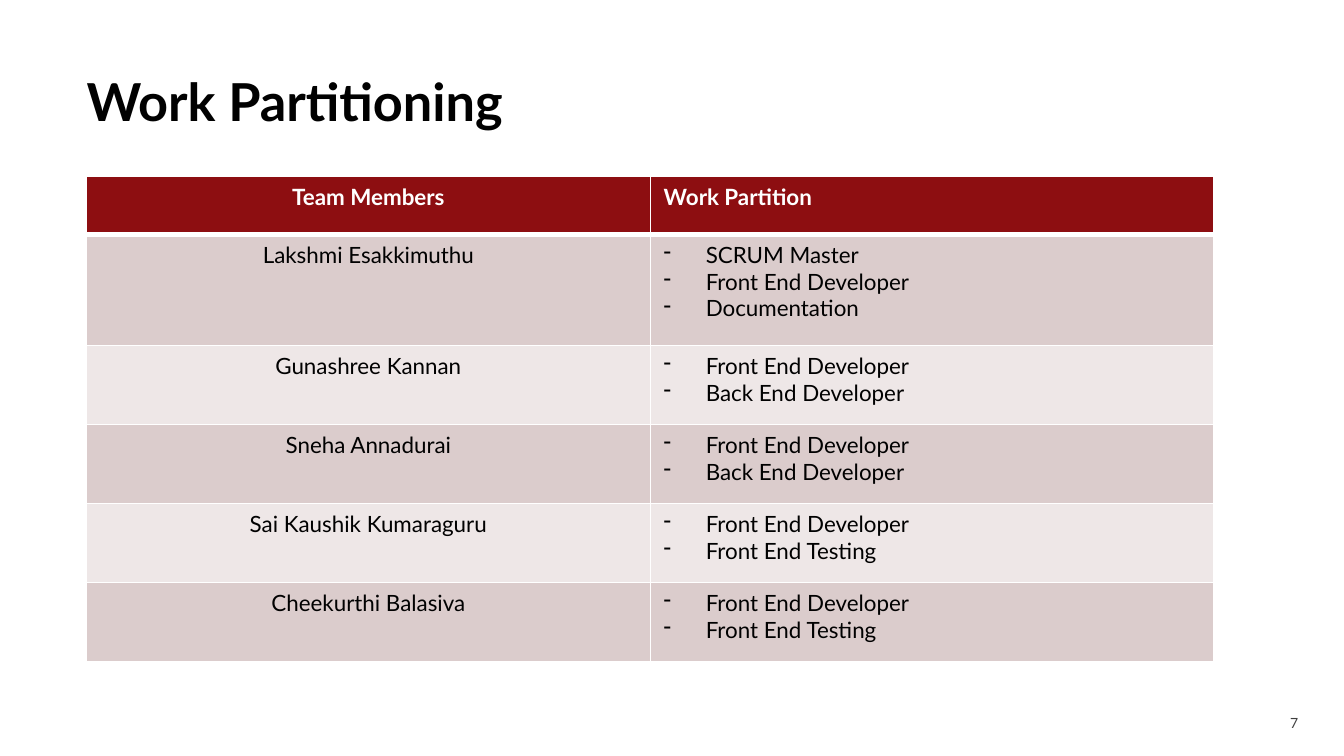
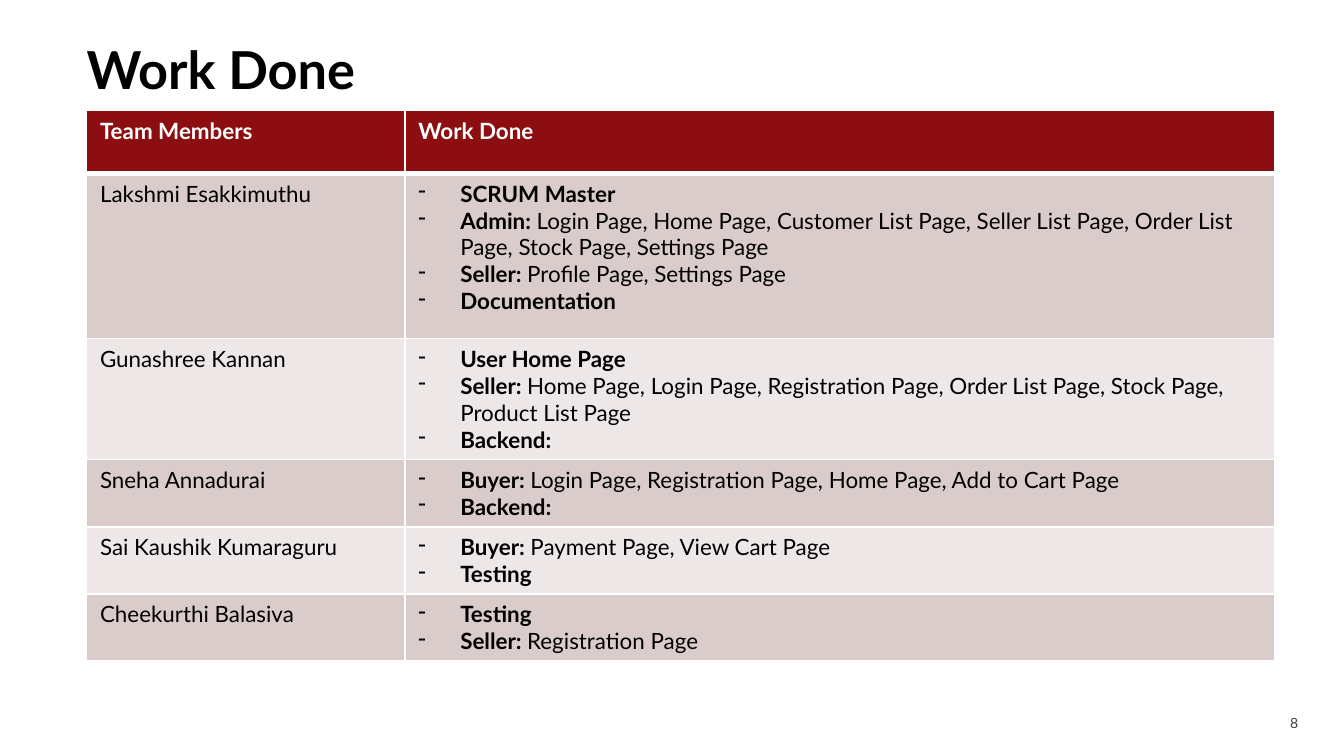
"""Build two slides on how a team divided and finished its work."""
from dataclasses import dataclass

from lxml.etree import SubElement
from pptx import Presentation
from pptx.dml.color import RGBColor
from pptx.enum.text import PP_ALIGN
from pptx.oxml.ns import qn
from pptx.util import Pt


@dataclass(frozen=True)
class Theme:
    font: str = "Lato"
    ink: str = "010101"
    white: str = "FFFFFF"
    header: str = "8D0E11"
    bands: tuple = ("DBCCCC", "EEE7E7")
    footer: str = "404040"
    title_size: float = 28
    table_size: float = 12
    footer_size: float = 7.5
    margin: float = 46.4
    indent: float = 22.5
    border: float = 1
    header_border: float = 3


MEMBERS = ("Lakshmi Esakkimuthu", "Gunashree Kannan", "Sneha Annadurai",
           "Sai Kaushik Kumaraguru", "Cheekurthi Balasiva")

FRONT_END = ("", "Front End Developer")
BACK_END = ("", "Back End Developer")
FRONT_END_TESTING = ("", "Front End Testing")
PARTITIONS = (
    (("", "SCRUM Master"), FRONT_END, ("", "Documentation")),
    (FRONT_END, BACK_END),
    (FRONT_END, BACK_END),
    (FRONT_END, FRONT_END_TESTING),
    (FRONT_END, FRONT_END_TESTING),
)

TESTING = ("Testing", "")
BACKEND = ("Backend:", "")
WORK_DONE = (
    (("SCRUM Master", ""),
     ("Admin: ", "Login Page, Home Page, Customer List Page, Seller List Page, "
                 "Order List Page, Stock Page, Settings Page"),
     ("Seller: ", "Profile Page, Settings Page"),
     ("Documentation", "")),
    (("User Home Page", ""),
     ("Seller: ", "Home Page, Login Page, Registration Page, Order List Page, "
                  "Stock Page, Product List Page"),
     BACKEND),
    (("Buyer: ", "Login Page, Registration Page, Home Page, Add to Cart Page"), BACKEND),
    (("Buyer: ", "Payment Page, View Cart Page"), TESTING),
    (TESTING, ("Seller: ", "Registration Page")),
)


class Deck:
    """Hold the theme and the current slide, and add elements to it."""

    def __init__(self, theme):
        self.theme = theme
        self.presentation = Presentation()
        self.presentation.slide_width = Pt(720)
        self.presentation.slide_height = Pt(405)
        self.slide = None

    def add_slide(self, title, title_top, number):
        """Start a slide with its title and page number."""
        theme = self.theme
        self.slide = self.presentation.slides.add_slide(self.presentation.slide_layouts[6])
        self.add_text(title, (theme.margin, title_top, 628, 45), (0, 0, 0, 14.4),
                      theme.title_size, theme.ink, 0.9, bold=True)
        self.add_text(str(number), (687.6, 381, 20, 10), (3.6, 0, 0, 0),
                      theme.footer_size, theme.footer, 1.2)

    def add_text(self, text, box, insets, size, color, line_spacing, bold=False):
        """Add a text box with one paragraph."""
        frame = self.slide.shapes.add_textbox(*map(Pt, box)).text_frame
        frame.word_wrap = True
        (frame.margin_left, frame.margin_top,
         frame.margin_right, frame.margin_bottom) = map(Pt, insets)
        paragraph = frame.paragraphs[0]
        paragraph.line_spacing = line_spacing
        self.add_run(paragraph, text, size, color, bold)

    def add_run(self, paragraph, text, size, color, bold=False):
        """Add one styled run."""
        run = paragraph.add_run()
        run.text = text
        run.font.name = self.theme.font
        run.font.size = Pt(size)
        run.font.bold = bold
        run.font.color.rgb = RGBColor.from_string(color)

    def add_table(self, top, widths, heights, headings, tasks, name_align, task_align):
        """Add the table of members and their tasks."""
        theme = self.theme
        table = self.slide.shapes.add_table(
            len(heights), len(widths), Pt(theme.margin), Pt(top),
            Pt(sum(widths)), Pt(sum(heights))).table
        table.horz_banding = False
        for column, width in zip(table.columns, widths):
            column.width = Pt(width)
        for row, height in zip(table.rows, heights):
            row.height = Pt(height)

        aligns = (name_align, task_align)
        for column, heading in enumerate(headings):
            self.fill_cell(table.cell(0, column), 0, [(heading, "")],
                           aligns[column], theme.white)
        for row, (member, entries) in enumerate(zip(MEMBERS, tasks), start=1):
            self.fill_cell(table.cell(row, 0), row, [("", member)], name_align, theme.ink)
            self.fill_cell(table.cell(row, 1), row, entries, task_align, theme.ink, True)

    def fill_cell(self, cell, row, entries, align, color, bulleted=False):
        """Write entries of bold and plain text into a styled cell."""
        theme = self.theme
        self.add_borders(cell, row)
        cell.fill.solid()
        cell.fill.fore_color.rgb = RGBColor.from_string(
            theme.bands[(row - 1) % 2] if row else theme.header)
        frame = cell.text_frame
        for index, (strong, plain) in enumerate(entries):
            paragraph = frame.add_paragraph() if index else frame.paragraphs[0]
            if bulleted:
                self.add_bullet(paragraph)
            paragraph.alignment = align
            for text, bold in ((strong, True), (plain, False)):
                if text:
                    self.add_run(paragraph, text, theme.table_size, color, bold)

    def add_borders(self, cell, row):
        """Draw cell borders, heavier below the header row."""
        theme = self.theme
        heavy_side = {0: "lnB", 1: "lnT"}.get(row)
        properties = cell._tc.get_or_add_tcPr()
        for side in ("lnL", "lnR", "lnT", "lnB"):
            width = theme.header_border if side == heavy_side else theme.border
            line = SubElement(properties, qn(f"a:{side}"), w=str(Pt(width)))
            fill = SubElement(line, qn("a:solidFill"))
            SubElement(fill, qn("a:srgbClr"), val=theme.white)

    def add_bullet(self, paragraph):
        """Give a paragraph a dash with a hanging indent."""
        properties = paragraph._p.get_or_add_pPr()
        properties.set("marL", str(Pt(self.theme.indent)))
        properties.set("indent", str(-Pt(self.theme.indent)))
        SubElement(properties, qn("a:buChar"), char="-")


def main():
    """Build and save both slides."""
    deck = Deck(Theme())
    deck.add_slide("Work Partitioning", 41, 7)
    deck.add_table(94.5, (302, 302), (31, 59.5) + (42.35,) * 4,
                   ("Team Members", "Work Partition"), PARTITIONS,
                   PP_ALIGN.CENTER, PP_ALIGN.JUSTIFY)
    deck.add_slide("Work Done", 23.8, 8)
    deck.add_table(59.2, (170.5, 465.8), (33.7, 88.5, 64.8) + (36,) * 3,
                   ("Team Members", "Work Done"), WORK_DONE,
                   PP_ALIGN.LEFT, PP_ALIGN.LEFT)
    deck.presentation.save("out.pptx")


if __name__ == "__main__":
    main()
